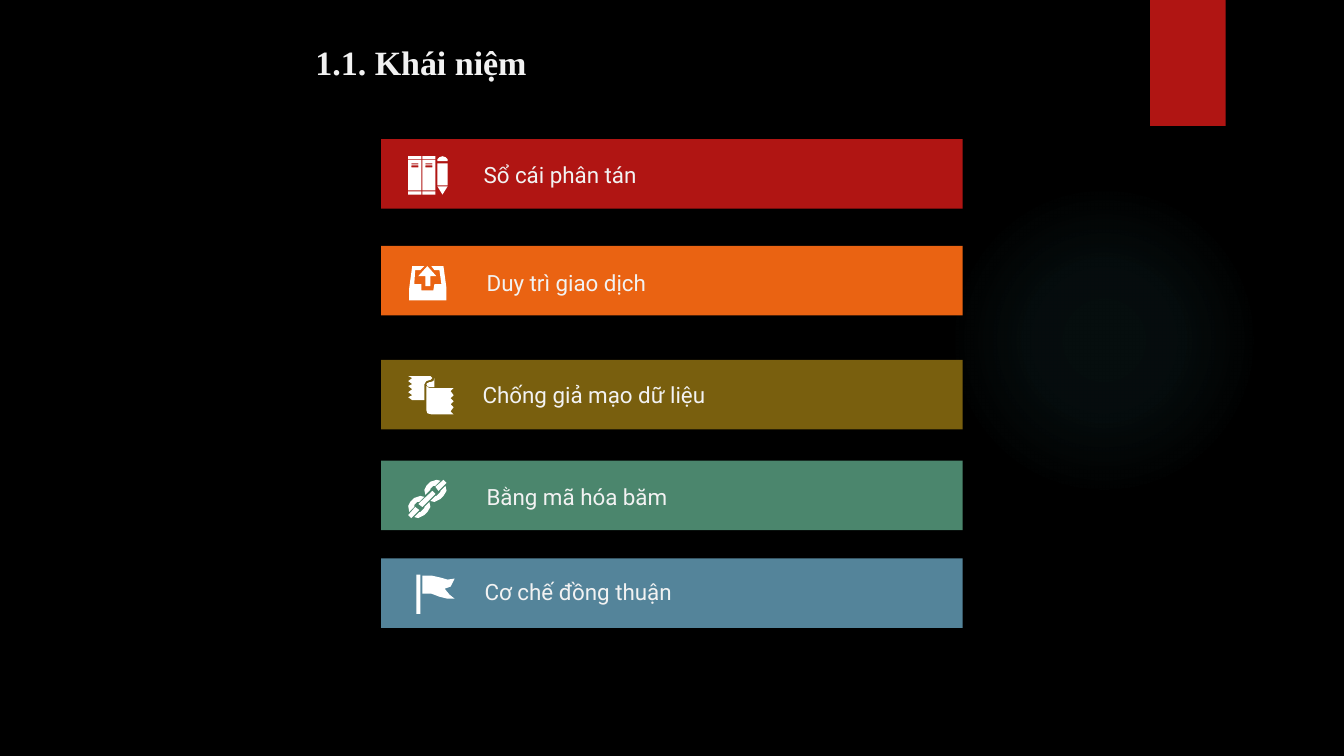
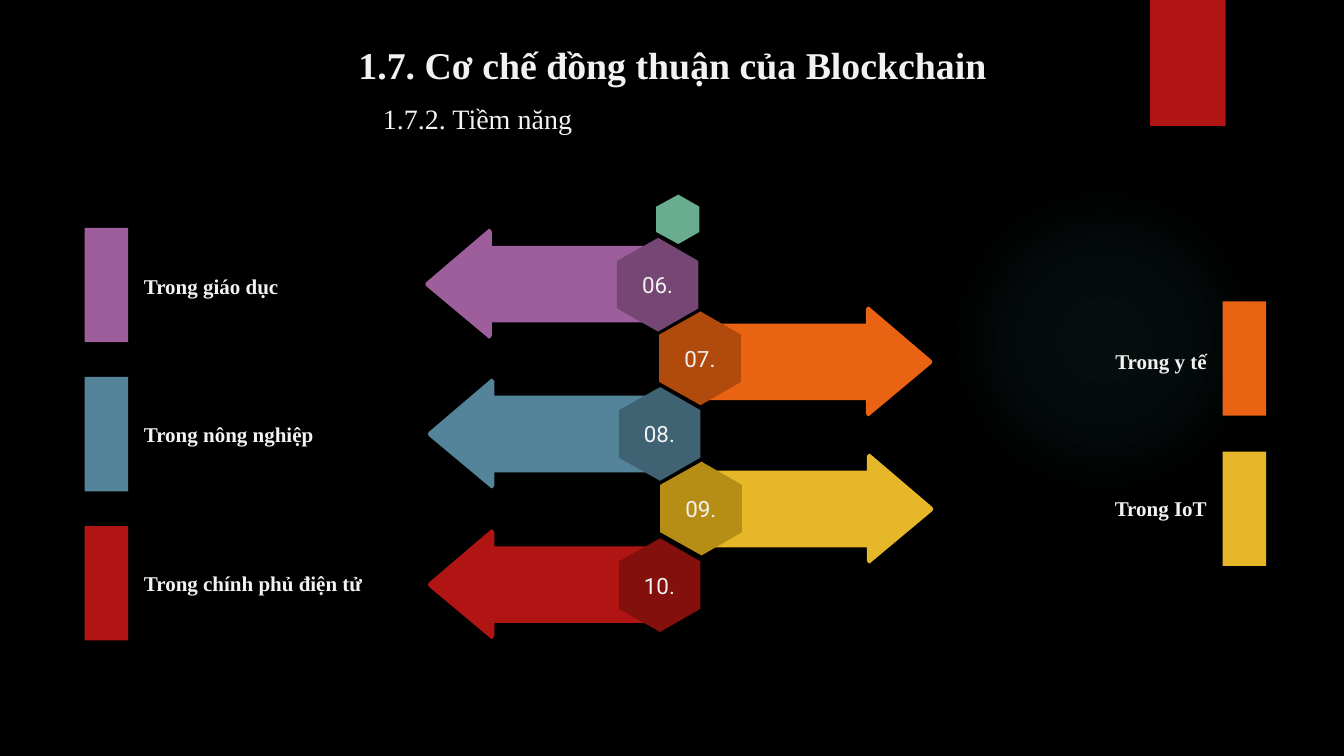
from lxml import etree
from pptx import Presentation
from pptx.dml.color import RGBColor
from pptx.enum.shapes import MSO_SHAPE
from pptx.enum.text import MSO_ANCHOR, MSO_AUTO_SIZE, PP_ALIGN
from pptx.oxml.ns import qn
from pptx.util import Pt

THEME = {
    "colors": {
        "black": "000000", "white": "FFFFFF", "text": "F2F2F2", "glow": "50B9C1",
        "red": "B01513", "orange": "EA6312", "olive": "795F0E", "green": "4B866D",
        "blue": "54849A", "purple": "9E5E9B", "yellow": "E6B729", "mint": "6AAC90",
        "dark_red": "84100E", "dark_orange": "B04A0D", "dark_blue": "3F6373",
        "dark_purple": "764674", "dark_yellow": "B68E15",
    },
    "fonts": {
        "title": {"name": "Times New Roman", "size": Pt(24.3), "bold": True},
        "long_title": {"name": "Times New Roman", "size": Pt(27), "bold": True},
        "subtitle": {"name": "Times New Roman", "size": Pt(20), "bold": False},
        "label": {"name": "Times New Roman", "size": Pt(15), "bold": True},
        "body": {"name": "Roboto", "size": Pt(16), "bold": False},
    },
    "heading_frame": {"word_wrap": True},
    "label_frame": {
        "vertical_anchor": MSO_ANCHOR.MIDDLE, "auto_size": MSO_AUTO_SIZE.SHAPE_TO_FIT_TEXT,
        "margin_left": Pt(2), "margin_top": Pt(2),
        "margin_right": Pt(2), "margin_bottom": Pt(2),
    },
}
GRID = Pt(0.72)


def paint(sp, color):
    sp.shadow.inherit = False
    sp.fill.solid()
    sp.fill.fore_color.rgb = RGBColor.from_string(THEME["colors"][color])
    sp.line.fill.background()


def add_text(s, box, text, font, frame, align=PP_ALIGN.LEFT, wrap=True):
    tf = s.shapes.add_textbox(*map(Pt, box)).text_frame
    for name, value in {**THEME[frame], "word_wrap": wrap}.items():
        setattr(tf, name, value)
    p = tf.paragraphs[0]
    p.alignment = align
    r = p.add_run()
    r.text = text
    for name, value in THEME["fonts"][font].items():
        setattr(r.font, name, value)
    r.font.color.rgb = RGBColor.from_string(THEME["colors"]["text"])


prs = Presentation()
prs.slide_width, prs.slide_height = Pt(960), Pt(540)
fill = prs.slide_master.background.fill
fill.solid()
fill.fore_color.rgb = RGBColor.from_string(THEME["colors"]["black"])

titles = [
    ("1.1. Khái niệm", "title", PP_ALIGN.LEFT),
    ("1.7. Cơ chế đồng thuận của Blockchain", "long_title", PP_ALIGN.CENTER),
]
for title, font, align in titles:
    s = prs.slides.add_slide(prs.slide_layouts[6])
    glow = s.shapes.add_shape(MSO_SHAPE.OVAL, Pt(677.5), Pt(131.8), Pt(221.8), Pt(221.8))
    paint(glow, "glow")
    solid = glow._element.spPr.find(qn("a:solidFill"))
    grad = etree.Element(qn("a:gradFill"), rotWithShape="1")
    stops = etree.SubElement(grad, qn("a:gsLst"))
    for pos, alpha in ((0, 7), (36, 6), (69, 0)):
        stop = etree.SubElement(stops, qn("a:gs"), pos=str(pos * 1000))
        clr = etree.SubElement(stop, qn("a:srgbClr"), val=THEME["colors"]["glow"])
        etree.SubElement(clr, qn("a:alpha"), val=str(alpha * 1000))
    shade = etree.SubElement(grad, qn("a:path"), path="circle")
    etree.SubElement(shade, qn("a:fillToRect"), l="50000", t="50000", r="50000", b="50000")
    solid.getparent().replace(solid, grad)
    paint(s.shapes.add_shape(MSO_SHAPE.RECTANGLE, Pt(821.5), 0, Pt(54), Pt(90)), "red")
    add_text(s, (218.2, 26, 524.2, 33), title, font, "heading_frame", align)

concept, potential = prs.slides

book_rects = [
    (x + left, top, x + right, bottom)
    for x in (0, 14)
    for left, top, right, bottom in (
        (0, 0, 13, 3), (0, 35, 13, 38), (0, 4, 13, 34), (3, 7, 10, 8), (3, 9, 10, 11))
]
books = [[(l, t), (r, t), (r, b), (l, b)] for l, t, r, b in book_rects + [(29, 7, 39, 29)]]
books += [
    [(29, 5), (29, 3), (31, 1), (34, 0), (37, 1), (39, 3), (39, 5)],
    [(34, 38), (39, 30), (29, 30)],
]
outbox = [
    [(3, 0), (0, 22), (0, 34), (37, 34), (37, 22), (34, 0), (22, 0), (25, 4), (30, 4),
     (32, 18), (25, 18), (24, 24), (12, 24), (12, 18), (5, 18), (6, 4), (11, 4), (15, 0)],
    [(18, 0), (9, 10), (16, 10), (16, 20), (21, 20), (21, 10), (27, 10)],
]
scroll = [
    [(21, 6), (19, 7), (18, 8), (19, 10), (21, 11), (26, 11), (26, 2), (25, 5), (22, 6)],
    [(22, 4), (24, 2), (22, 0), (0, 0), (4, 2), (0, 5), (4, 8), (0, 10), (4, 13), (0, 16),
     (4, 19), (0, 21), (4, 24), (16, 24), (16, 8), (18, 5), (21, 4)],
    [(42, 15), (45, 12), (21, 12), (18, 10), (18, 34), (19, 37), (23, 38), (45, 38),
     (42, 35), (45, 31), (42, 28), (45, 25), (42, 22), (45, 19)],
]
chain = [
    [(22, 10), (22, 9), (25, 6), (27, 6), (32, 1), (28, 0), (22, 2), (18, 6), (16, 10), (17, 15)],
    [(30, 11), (38, 3), (35, 0), (27, 7)],
    [(6, 27), (6, 25), (9, 22), (11, 22), (16, 17), (12, 16), (6, 18), (2, 22), (0, 26), (1, 32)],
    [(10, 24), (14, 27), (27, 14), (24, 11)],
    [(32, 11), (32, 12), (28, 16), (27, 16), (22, 21), (26, 22), (32, 19), (35, 16), (38, 11), (37, 6)],
    [(7, 27), (0, 35), (3, 38), (11, 30)],
    [(16, 27), (16, 28), (12, 32), (11, 32), (6, 37), (10, 38), (16, 35), (19, 32), (22, 27), (21, 22)],
]
flag = [
    [(0, 0), (4, 0), (4, 39), (0, 39)],
    [(28, 14), (34, 12), (38, 4), (31, 5), (24, 3), (15, 1), (6, 1), (6, 19), (15, 19),
     (23, 22), (31, 24), (38, 24), (33, 20)],
]

features = [
    ("Sổ cái phân tán", "red", 99.4, books, (291.6, 111.6), (343.4, 113, 116)),
    ("Duy trì giao dịch", "orange", 175.7, outbox, (292.3, 190.1), (345.6, 190.1, 121)),
    ("Chống giả mạo dữ liệu", "olive", 257, scroll, (291.6, 268.6), (342.7, 270, 334.8)),
    ("Bằng mã hóa băm", "green", 329, chain, (291.6, 342.7), (345.6, 342.7, 332)),
    ("Cơ chế đồng thuận", "blue", 398.9, flag, (297.4, 410.4), (344.2, 410.4, 332)),
]
for text, color, top, icon, origin, (x, y, width) in features:
    bar = concept.shapes.add_shape(
        MSO_SHAPE.RECTANGLE, Pt(272.2), Pt(top), Pt(415.4), Pt(49.7))
    paint(bar, color)
    fb = concept.shapes.build_freeform(*icon[0][0], scale=GRID)
    fb.add_line_segments(icon[0][1:])
    for contour in icon[1:]:
        fb.move_to(*contour[0])
        fb.add_line_segments(contour[1:])
    paint(fb.convert_to_shape(*map(Pt, origin)), "white")
    add_text(concept, (x, y, width, 23.8), text, "body", "label_frame", wrap=width > 200)

left_arrow = [
    (228, 17), (66, 17), (66, 3), (65, 1), (63, 0), (62, 1), (1, 53), (0, 55),
    (1, 57), (62, 108), (63, 109), (65, 108), (66, 106), (66, 93), (228, 93),
]
right_arrow = [(229 - x, y) for x, y in left_arrow]
hexagon = [(0, 23), (41, 0), (81, 23), (81, 70), (41, 93), (0, 70)]
small_hexagon = [(0, 12), (22, 0), (43, 12), (43, 37), (22, 49), (0, 37)]

fields = [
    ("06.", "Trong giáo dục", "purple", (303.8, 163.4), (440.6, 169.9), 162.7, 193, 100.8),
    ("07.", "Trong y tế", "orange", (501.1, 218.9), (470.9, 222.5), 215.3, 247, 69.8),
    ("08.", "Trong nông nghiệp", "blue", (305.6, 270.4), (442, 276.5), 269.3, 298.8, 126.7),
    ("09.", "Trong IoT", "yellow", (501.8, 324), (471.6, 329.8), 322.6, 352.1, 70.6),
    ("10.", "Trong chính phủ điện tử", "red", (305.6, 378), (442, 384.5), 375.8, 405.4, 162),
]
outlines = [(small_hexagon, (468.7, 139), "mint")]
for i, (number, text, color, arrow_at, hexagon_at, bar_y, text_y, width) in enumerate(fields):
    points_left = i % 2 == 0
    outlines += [
        (left_arrow if points_left else right_arrow, arrow_at, color),
        (hexagon, hexagon_at, "dark_" + color),
    ]
    bar = potential.shapes.add_shape(
        MSO_SHAPE.RECTANGLE, Pt(60.5 if points_left else 873.4), Pt(bar_y), Pt(31), Pt(81.7))
    paint(bar, color)
    add_text(potential, (100.8 if points_left else 864 - width, text_y, width, 22.3), text,
             "label", "label_frame", PP_ALIGN.LEFT if points_left else PP_ALIGN.RIGHT, False)

for outline, origin, color in outlines:
    fb = potential.shapes.build_freeform(*outline[0], scale=GRID)
    fb.add_line_segments(outline[1:])
    paint(fb.convert_to_shape(*map(Pt, origin)), color)

for number, _, _, _, (x, y), *_ in fields:
    add_text(potential, (x + 16, y + 21.6, 26.6, 23.8), number, "body", "label_frame", wrap=False)

add_text(potential, (266.4, 69, 427.7, 31), "1.7.2. Tiềm năng", "subtitle", "heading_frame")

prs.save("out.pptx")
